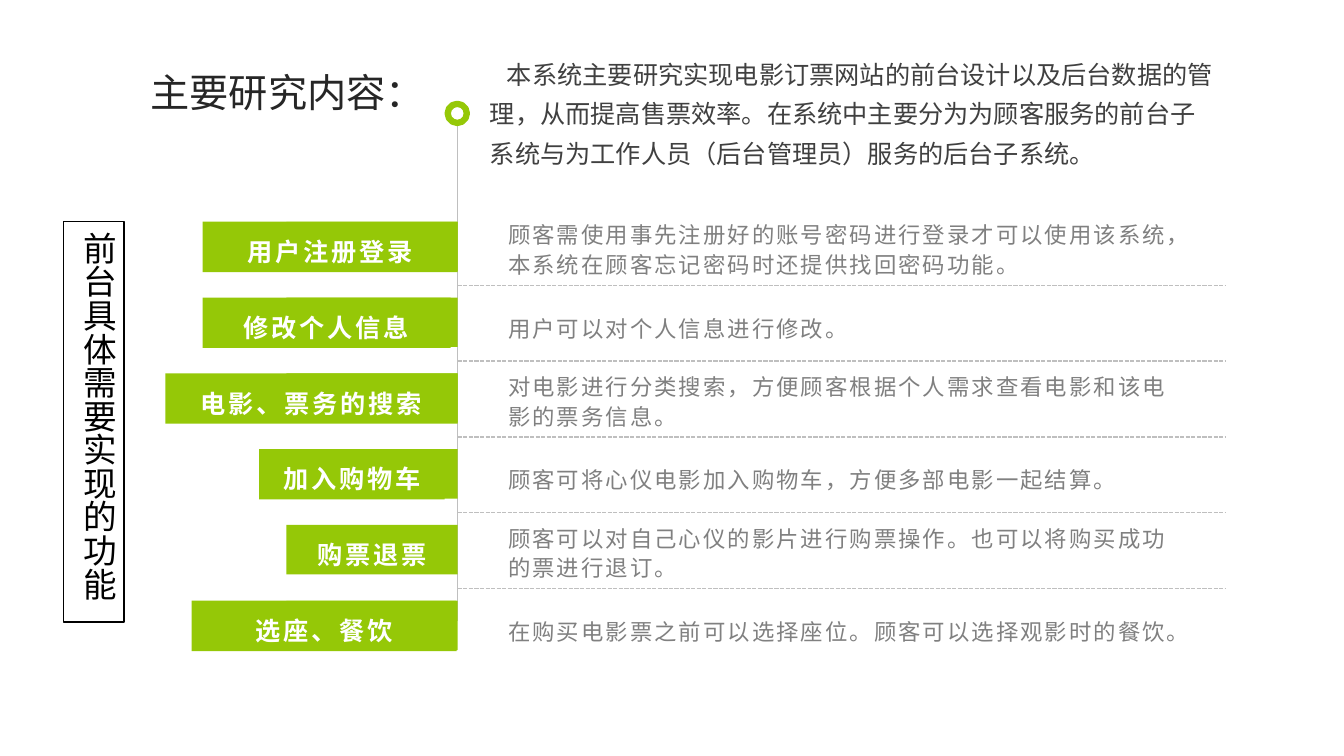
from lxml.etree import SubElement
from pptx import Presentation
from pptx.dml.color import RGBColor
from pptx.enum.dml import MSO_LINE
from pptx.enum.shapes import MSO_CONNECTOR, MSO_SHAPE
from pptx.enum.text import MSO_ANCHOR, MSO_AUTO_SIZE, PP_ALIGN
from pptx.oxml.ns import qn
from pptx.util import Pt

TITLE = "主要研究内容："
INTRODUCTION = (
    "本系统主要研究实现电影订票网站的前台设计以及后台数据的管理，从而提高售票效率。"
    "在系统中主要分为为顾客服务的前台子系统与为工作人员（后台管理员）服务的后台子系统。"
)
SIDE_HEADING = "前台具体需要实现的功能"

# label, label left, label width, label is filled, description, line spacing
FEATURES = [
    ("用户注册登录", 201, 253, True,
     "顾客需使用事先注册好的账号密码进行登录才可以使用该系统，本系统在顾客忘记密码时还提供找回密码功能。", 1.1),
    ("修改个人信息", 201, 246, True, "用户可以对个人信息进行修改。", 1.3),
    ("电影、票务的搜索", 164, 290, True,
     "对电影进行分类搜索，方便顾客根据个人需求查看电影和该电影的票务信息。", 1.1),
    ("加入购物车", 257, 184, True, "顾客可将心仪电影加入购物车，方便多部电影一起结算。", 1.3),
    ("购票退票", 297, 144, False,
     "顾客可以对自己心仪的影片进行购票操作。也可以将购买成功的票进行退订。", 1.1),
    ("选座、餐饮", 190, 263, True, "在购买电影票之前可以选择座位。顾客可以选择观影时的餐饮。", 1.3),
]

GREEN = RGBColor(0x95, 0xC8, 0x07)
WHITE = RGBColor(0xFF, 0xFF, 0xFF)
BLACK = RGBColor(0x00, 0x00, 0x00)
TITLE_GREY = RGBColor(0x26, 0x26, 0x26)
BODY_GREY = RGBColor(0x40, 0x40, 0x40)
DETAIL_GREY = RGBColor(0x80, 0x80, 0x80)
LINE_GREY = RGBColor(0xBF, 0xBF, 0xBF)

LATIN_FONT = "Arial"
CHINESE_FONT = "Noto Sans CJK SC"

AXIS_X = 454
DIVIDER_RIGHT = 1215
BAR_LEFT, BAR_HEIGHT = 284, 49
FIRST_ROW_TOP, ROW_PITCH = 220, 75.2
DETAIL_BOX = (494, 682, 71)
DETAIL_OFFSET, DIVIDER_OFFSET = -9, 63


def px(length):
    """Convert px, 100 to the inch, to EMU."""
    return round(length * 9144)


def set_attributes(target, values):
    for name, value in values.items():
        setattr(target, name, value)


def add_shape(slide, kind, box, fill=None, line=None, line_width=1):
    shape = slide.shapes.add_shape(kind, *map(px, box))
    shape.shadow.inherit = False
    if fill is None:
        shape.fill.background()
    else:
        shape.fill.solid()
        shape.fill.fore_color.rgb = fill
    if line is None:
        shape.line.fill.background()
    else:
        shape.line.color.rgb = line
        shape.line.width = Pt(line_width)
    return shape


def add_line(slide, start, end, dash=None):
    line = slide.shapes.add_connector(MSO_CONNECTOR.STRAIGHT, *map(px, start + end))
    line.line.color.rgb = LINE_GREY
    set_attributes(line.line, {"width": Pt(1), "dash_style": dash})
    SubElement(line._element.spPr, qn("a:effectLst"))


def write(shape, text, size, color, paragraph_format=None, bold=False,
          anchor=MSO_ANCHOR.TOP, tracking=0, font_name=LATIN_FONT):
    """Fill a shape with one formatted paragraph and return that paragraph."""
    frame = shape.text_frame
    set_attributes(frame, {"word_wrap": True, "vertical_anchor": anchor})
    paragraph = frame.paragraphs[0]
    set_attributes(paragraph, {"alignment": PP_ALIGN.LEFT, **(paragraph_format or {})})
    run = paragraph.add_run()
    run.text = text
    set_attributes(run.font, {"name": font_name, "size": Pt(size), "bold": bold})
    run.font.color.rgb = color
    properties = run._r.get_or_add_rPr()
    SubElement(properties, qn("a:ea"), typeface=CHINESE_FONT)
    if tracking:
        properties.set("spc", str(round(tracking * 100)))
    return paragraph


def add_text(slide, box, *content, **formatting):
    return write(slide.shapes.add_textbox(*map(px, box)), *content, **formatting)


def add_feature(slide, top, label, left, width, filled, detail, spacing):
    add_shape(slide, MSO_SHAPE.RECTANGLE,
              (BAR_LEFT, top, AXIS_X - BAR_LEFT, BAR_HEIGHT), GREEN)
    label_shape = add_shape(slide, MSO_SHAPE.RECTANGLE, (left, top, width, BAR_HEIGHT + 1),
                            GREEN if filled else None)
    write(label_shape, label, 18, WHITE,
          {"alignment": PP_ALIGN.CENTER, "line_spacing": 1.3},
          bold=True, anchor=MSO_ANCHOR.MIDDLE, tracking=2)
    detail_left, detail_width, detail_height = DETAIL_BOX
    add_text(slide, (detail_left, top + DETAIL_OFFSET, detail_width, detail_height),
             detail, 16, DETAIL_GREY, {"line_spacing": spacing},
             anchor=MSO_ANCHOR.MIDDLE, tracking=1.5)


def add_side_heading(slide):
    shape = add_shape(slide, MSO_SHAPE.RECTANGLE, (63, 220, 60, 397), line=BLACK)
    write(shape, SIDE_HEADING, 24, BLACK, font_name=CHINESE_FONT)
    shape.text_frame.auto_size = MSO_AUTO_SIZE.SHAPE_TO_FIT_TEXT
    shape.text_frame._txBody.bodyPr.set("vert", "eaVert")


def main():
    presentation = Presentation()
    set_attributes(presentation, {"slide_width": px(1333), "slide_height": px(750)})
    slide = presentation.slides.add_slide(presentation.slide_layouts[6])

    add_text(slide, (124, 54, 307, 127), TITLE, 28, TITLE_GREY,
             {"alignment": PP_ALIGN.RIGHT, "line_spacing": 1.2})
    introduction = add_text(slide, (476, 45, 739, 136), INTRODUCTION, 18, BODY_GREY,
                            {"line_spacing": 1.3, "space_after": Pt(8)})
    introduction._p.get_or_add_pPr().set("indent", str(px(17)))

    add_line(slide, (AXIS_X, 103), (AXIS_X, 616))
    add_shape(slide, MSO_SHAPE.OVAL, (444, 103, 19, 19), WHITE, GREEN, 4.5)
    for index, feature in enumerate(FEATURES):
        top = FIRST_ROW_TOP + index * ROW_PITCH
        add_feature(slide, top, *feature)
        if index < len(FEATURES) - 1:
            divider_y = top + DIVIDER_OFFSET
            add_line(slide, (AXIS_X, divider_y), (DIVIDER_RIGHT, divider_y),
                     MSO_LINE.SQUARE_DOT)
    add_side_heading(slide)

    presentation.save("out.pptx")


if __name__ == "__main__":
    main()
